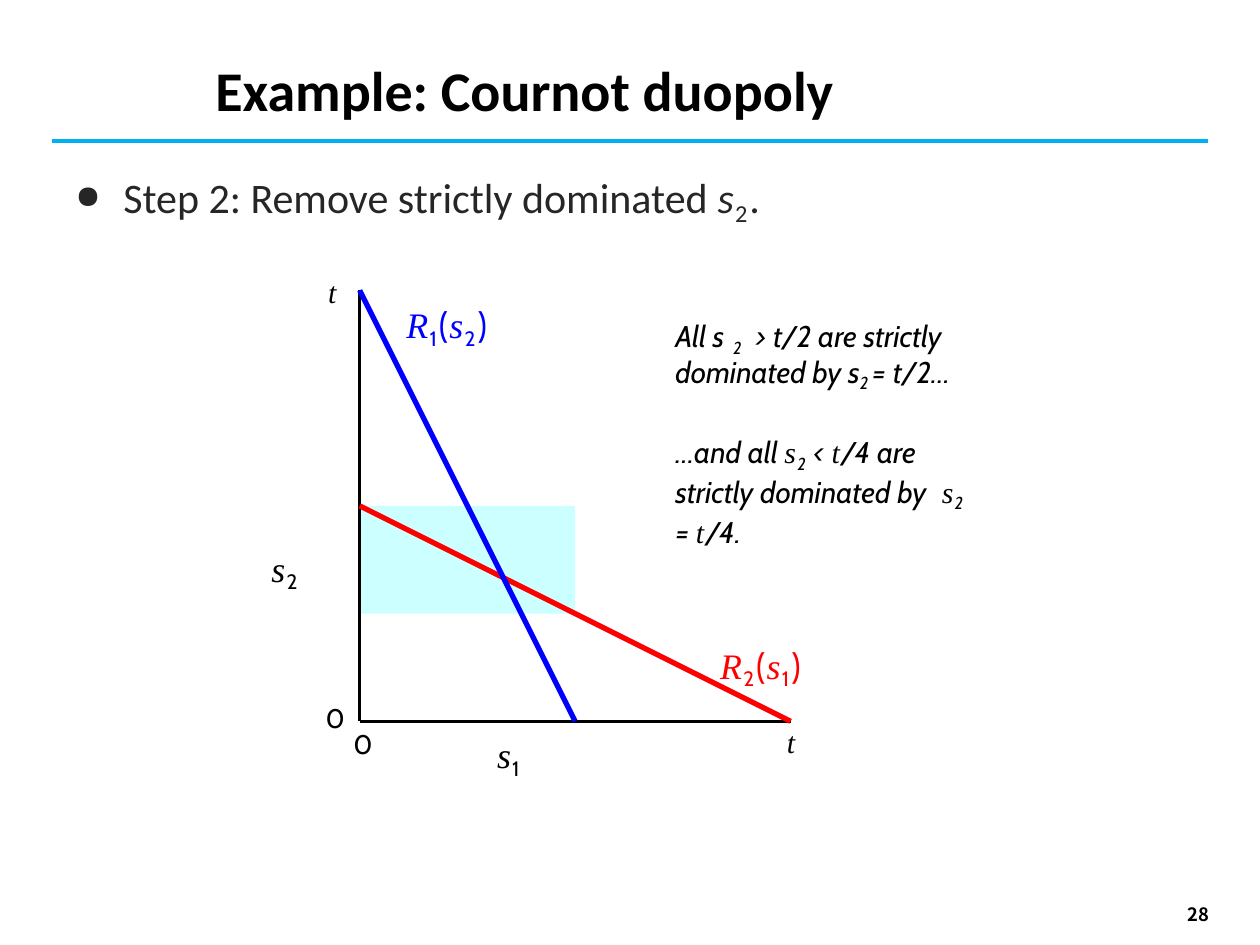
from lxml import etree
from pptx import Presentation
from pptx.dml.color import RGBColor
from pptx.enum import shapes, text
from pptx.oxml import ns
from pptx.util import Inches, Pt

HUES = {"ink": "000000", "body": "262626", "rule": "00B0F0",
        "blue": "0000FF", "red": "FF0000", "zone": "CCFFFF"}
STYLES = {
    "var": ("Times New Roman", True, 0, 0.7),
    "num": ("Cabin", False, 0, 0.7),
    "sub": ("Cabin", False, -21, 1.1),
    "note": ("Cabin", True, 0, 0),
    "low": ("Cabin", True, -21, 0),
    "loose": ("Cabin", True, -21, 1),
    "wide": ("Cabin", True, 0, 5),
    "plain": ("Calibri", False, 0, 0),
    "slant": ("Calibri", True, 0, 0.7),
    "foot": ("Calibri", False, -21, 1),
}


def color(name):
    """Return the named colour."""
    return RGBColor.from_string(HUES[name])


def add_box(slide, x, y, w, h, wrap=True, pad=0):
    """Add a text box with even side insets and return its frame."""
    frame = slide.shapes.add_textbox(Inches(x), Inches(y), Inches(w), Inches(h)).text_frame
    frame.word_wrap = wrap
    frame.margin_left = frame.margin_right = Inches(pad)
    frame.margin_top = frame.margin_bottom = Inches(pad / 2)
    return frame


def add_runs(para, parts, size, hue="ink"):
    """Add styled runs to a paragraph."""
    for words, style in parts:
        face, slant, base, gap = STYLES[style]
        run = para.add_run()
        run.text = words
        font = run.font
        font.name, font.size, font.italic = face, Pt(size), slant
        font.color.rgb = color(hue)
        props = run._r.get_or_add_rPr()
        if base:
            props.set("baseline", str(base * 1000))
        if gap:
            props.set("spc", str(round(gap * 100)))


def add_label(slide, x, y, parts, size, hue="ink", w=0.4):
    """Add a one-line label."""
    frame = add_box(slide, x, y, w, 0.35, wrap=False)
    add_runs(frame.paragraphs[0], parts, size, hue)


def add_line(slide, start, end, hue, width):
    """Draw a straight line between two points."""
    ends = [Inches(v) for v in (*start, *end)]
    line = slide.shapes.add_connector(shapes.MSO_CONNECTOR.STRAIGHT, *ends)
    line.line.color.rgb = color(hue)
    line.line.width = Pt(width)
    etree.SubElement(line._element.spPr, ns.qn("a:effectLst"))


def add_head(slide, x, y, w):
    """Add the title and the rule below it."""
    frame = add_box(slide, x + 1.3, y, w - 1.4, 0.59)
    frame.text = "Example: Cournot duopoly"
    font = frame.paragraphs[0].runs[0].font
    font.name, font.size, font.bold = "Calibri", Pt(32), True
    font.color.rgb = color("ink")
    add_line(slide, (x, y + 0.68), (x + w, y + 0.68), "rule", 2.25)


def add_body(slide, x, y, w, h):
    """Add the bulleted step."""
    para = add_box(slide, x, y, w, h, pad=0.1).paragraphs[0]
    props = para._p.get_or_add_pPr()
    props.set("marL", str(Inches(0.38)))
    props.set("indent", str(-Inches(0.38)))
    etree.SubElement(props, ns.qn("a:buSzPct")).set("val", "76000")
    etree.SubElement(props, ns.qn("a:buChar")).set("char", "●")
    add_runs(para, [("Step 2: Remove strictly dominated ", "plain"), ("s", "slant"),
                    ("2", "foot"), (".", "plain")], 24, "body")


def add_graph(slide, x, y, size):
    """Draw the reply curves in a square with its top left at x, y."""
    half, right, base = size / 2, x + size, y + size
    zone = slide.shapes.add_shape(shapes.MSO_SHAPE.RECTANGLE, Inches(x), Inches(y + half),
                                  Inches(half), Inches(size / 4))
    zone.shadow.inherit = False
    zone.fill.solid()
    zone.fill.fore_color.rgb = color("zone")
    zone.line.fill.background()
    add_line(slide, (x, y), (x, base), "ink", 1.5)
    add_line(slide, (x, base), (right, base), "ink", 1.5)
    add_line(slide, (x, y + half), (right, base), "red", 3)
    add_line(slide, (x, y), (x + half, base), "blue", 3)

    for dx, dy in ((-0.27, -0.16), (-0.05, 0.05)):
        add_label(slide, x + dx, base + dy, [("0", "num")], 15.4, w=0.15)
    for left, top in ((x - 0.25, y - 0.13), (right - 0.03, base + 0.02)):
        add_label(slide, left, top, [("t", "var")], 17.1, w=0.11)
    for left, top, digit in ((x + 1.09, base + 0.09, "1"), (x - 0.7, y + 2.03, "2")):
        add_label(slide, left, top, [("s", "var"), (digit, "sub")], 20.5)
    for dx, dy, own, other, hue in ((0.37, 0.1, "1", "2", "blue"),
                                    (2.86, 2.8, "2", "1", "red")):
        parts = [("R", "var"), (own, "sub"), ("(", "num"),
                 ("s", "var"), (other, "sub"), (")", "num")]
        add_label(slide, x + dx, y + dy, parts, 20.5, hue, 0.78)


def add_notes(slide, x, y, w, h):
    """Add the two remarks beside the graph."""
    frame = add_box(slide, x, y, w, h)
    first, last = frame.paragraphs[0], frame.add_paragraph()
    first.line_spacing = Pt(20.1)
    last.space_before = Pt(23.5)
    tabs = etree.SubElement(first._p.get_or_add_pPr(), ns.qn("a:tabLst"))
    etree.SubElement(tabs, ns.qn("a:tab"), pos=str(Inches(0.63)), algn="l")
    add_runs(first, [("All ", "note"), ("s", "wide"), ("2", "low"),
                     ("\t> t/2 are strictly dominated by s", "note"),
                     ("2 ", "low"), ("= t/2…", "note")], 17.1)
    add_runs(last, [("…and all ", "note"), ("s", "var"), ("2 ", "loose"), ("< ", "note"),
                    ("t", "var"), ("/4 are strictly dominated by", "note"), (" ", "wide"),
                    ("s", "var"), ("2 ", "loose"), ("= ", "note"), ("t", "var"),
                    ("/4.", "note")], 17.1)


def add_page(slide, x, y, w, h):
    """Add the page number."""
    frame = add_box(slide, x, y, w, h, pad=0.1)
    frame.vertical_anchor = text.MSO_ANCHOR.MIDDLE
    frame.text = "28"
    font = frame.paragraphs[0].runs[0].font
    font.name, font.size, font.bold = "Noto Sans CJK KR", Pt(10.5), True
    font.color.rgb = color("ink")


def main():
    """Build the slide and save it."""
    deck = Presentation()
    deck.slide_width, deck.slide_height = Inches(10), Inches(7.5)
    slide = deck.slides.add_slide(deck.slide_layouts[6])
    add_head(slide, 0.41, 0.44, 9.18)
    add_body(slide, 0.5, 1.31, 8.95, 0.6)
    add_graph(slide, 2.855, 2.305, 3.42)
    add_notes(slide, 5.36, 2.56, 2.33, 1.85)
    add_page(slide, 9.33, 7.14, 0.79, 0.23)
    deck.save("out.pptx")


if __name__ == "__main__":
    main()
